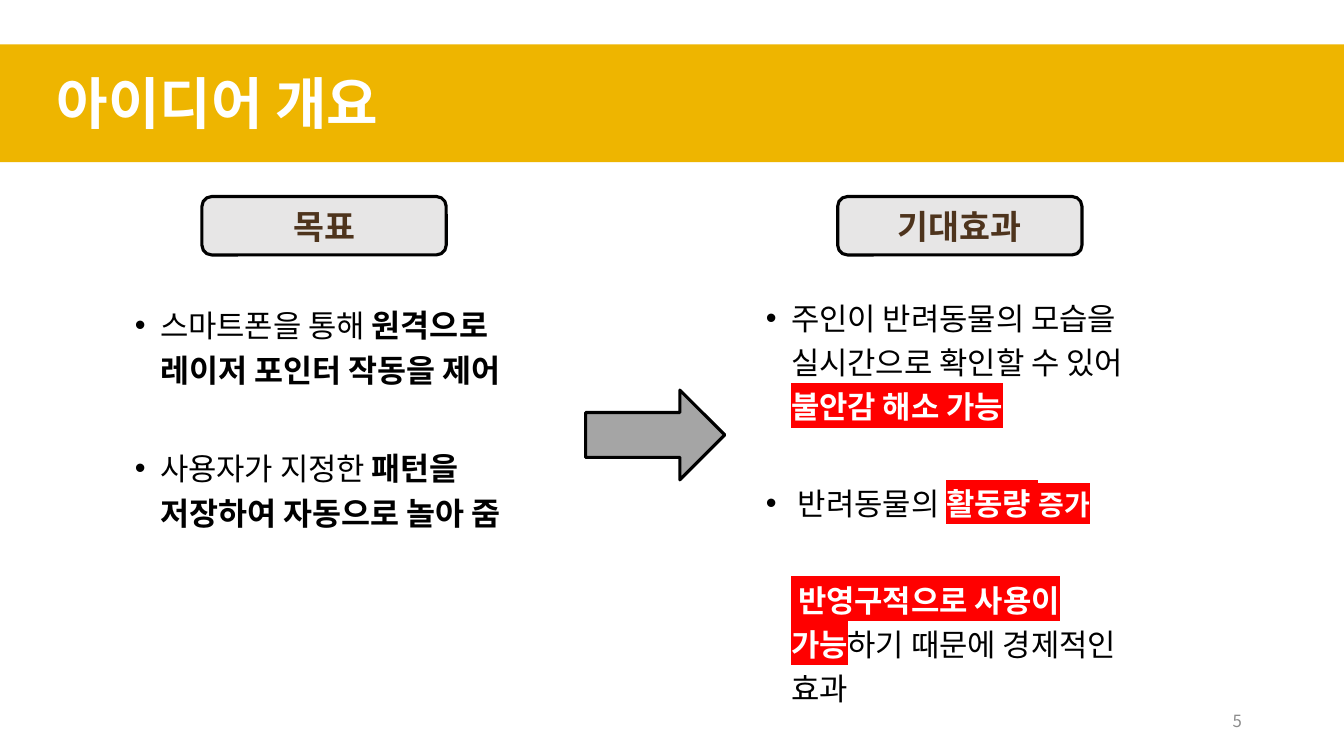
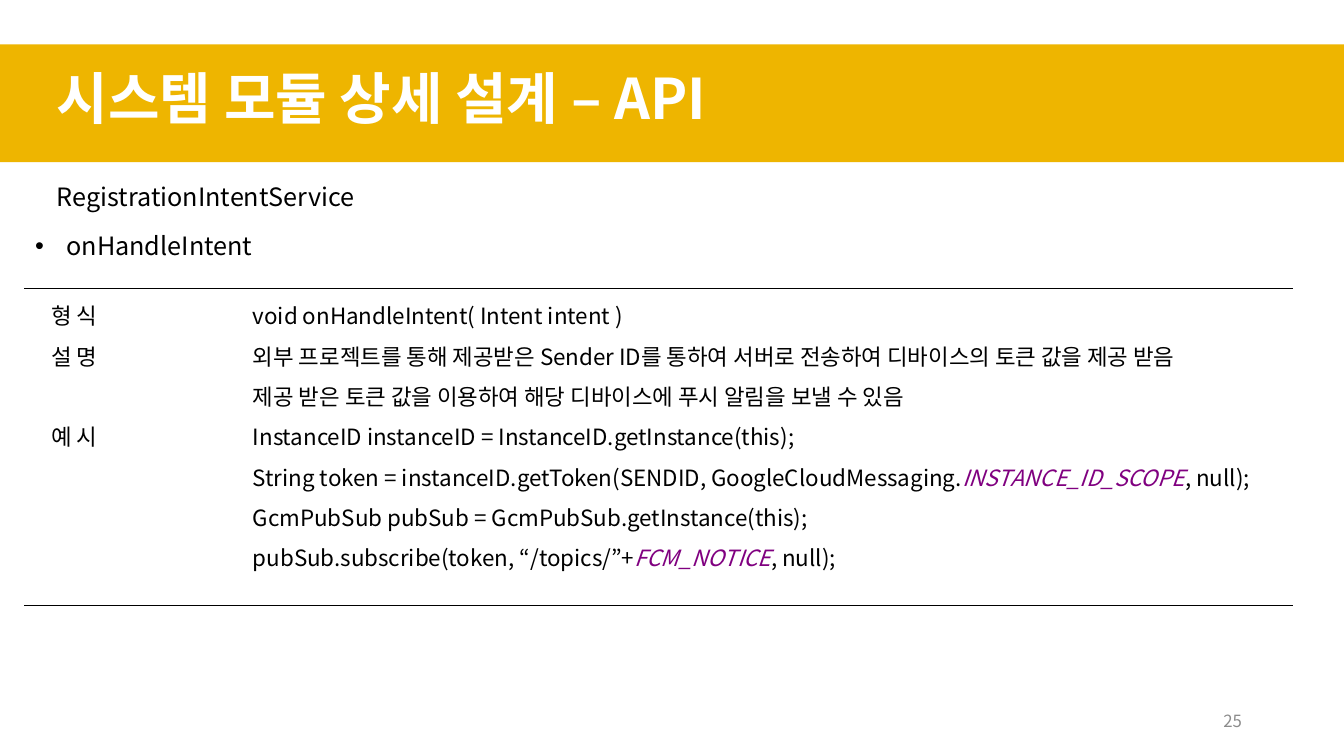
import dataclasses

import pptx
import pptx.dml.color
import pptx.enum.shapes
import pptx.enum.text
import pptx.oxml.ns
import pptx.util
from lxml import etree

Inches, Pt = pptx.util.Inches, pptx.util.Pt
Shapes = pptx.enum.shapes.MSO_SHAPE
Align = pptx.enum.text.PP_ALIGN
Anchor = pptx.enum.text.MSO_ANCHOR
qn = pptx.oxml.ns.qn

FONT = "Noto Sans CJK KR"
COLORS = {
    "band": "EEB500",
    "white": "FFFFFF",
    "black": "000000",
    "label": "E7E6E6",
    "brown": "4E341D",
    "arrow": "A5A5A5",
    "red": "FF0000",
    "purple": "800080",
    "gray": "8C8C8C",
}


@dataclasses.dataclass
class Box:
    left: float
    top: float
    width: float
    height: float

    def share(self, left, top, width, height):
        """Return an inner box given in percent of this one."""
        return Box(
            self.left + self.width * left / 100,
            self.top + self.height * top / 100,
            self.width * width / 100,
            self.height * height / 100,
        )

    def inches(self):
        return [Inches(n) for n in (self.left, self.top, self.width, self.height)]


@dataclasses.dataclass
class Span:
    text: str
    color: str = ""
    bold: bool = False
    italic: bool = False
    size: float = 0
    highlight: str = ""


SLIDE = Box(0, 0, 13.33, 7.5)


def rgb(name):
    return pptx.dml.color.RGBColor.from_string(COLORS[name])


def add_shape(page, kind, box, fill, line=None):
    shape = page.shapes.add_shape(kind, *box.inches())
    shape.shadow.inherit = False
    shape.fill.solid()
    shape.fill.fore_color.rgb = rgb(fill)
    if line:
        shape.line.color.rgb = rgb(line)
        shape.line.width = Pt(2.25)
    else:
        shape.line.fill.background()
    return shape


def add_span(para, span):
    run = para.add_run()
    run.text = span.text
    if span.bold:
        run.font.bold = True
    if span.italic:
        run.font.italic = True
    if span.size:
        run.font.size = Pt(span.size)
    if span.color:
        run.font.color.rgb = rgb(span.color)
    if span.highlight:
        mark = etree.SubElement(run._r.get_or_add_rPr(), qn("a:highlight"))
        etree.SubElement(mark, qn("a:srgbClr"), val=COLORS[span.highlight])


def add_bullet(para, indent):
    props = para._p.get_or_add_pPr()
    props.set("marL", str(Inches(indent)))
    props.set("indent", str(-Inches(indent)))
    etree.SubElement(props, qn("a:buFont"), typeface="Arial")
    etree.SubElement(props, qn("a:buChar"), char="•")


def add_tab(para, position):
    tabs = etree.SubElement(para._p.get_or_add_pPr(), qn("a:tabLst"))
    etree.SubElement(tabs, qn("a:tab"), pos=str(Inches(position)), algn="l")


def write(frame, paragraphs, size, color="black", bold=False, align=Align.LEFT,
          anchor=Anchor.TOP, spacing=1, gap=0, bullet=0, tab=0):
    """Fill a text frame; each paragraph is a string or a list of spans."""
    frame.word_wrap = True
    frame.vertical_anchor = anchor
    for index, spans in enumerate(paragraphs):
        para = frame.add_paragraph() if index else frame.paragraphs[0]
        para.alignment = align
        para.line_spacing = spacing
        para.space_before = Pt(gap if index else 0)
        if bullet:
            add_bullet(para, bullet)
        if tab:
            add_tab(para, tab)
        para.font.size = Pt(size)
        para.font.bold = bold
        para.font.color.rgb = rgb(color)
        para.font.name = FONT
        defaults = para._p.pPr.find(qn("a:defRPr"))
        etree.SubElement(defaults, qn("a:ea"), typeface=FONT)
        for span in [Span(spans)] if isinstance(spans, str) else spans:
            add_span(para, span)


def add_text(page, box, paragraphs, size, **style):
    write(page.shapes.add_textbox(*box.inches()).text_frame, paragraphs, size, **style)


def add_rule(page, left, right, height):
    ends = [Inches(n) for n in (left, height, right, height)]
    rule = page.shapes.add_connector(pptx.enum.shapes.MSO_CONNECTOR.STRAIGHT, *ends)
    rule.line.color.rgb = rgb("black")
    rule.line.width = Pt(1)
    etree.SubElement(rule._element.spPr, qn("a:effectLst"))


def new_page(deck, title, title_top, number):
    """Add a blank slide with the band, its title and the page number."""
    page = deck.slides.add_slide(deck.slide_layouts[6])
    add_shape(page, Shapes.RECTANGLE, SLIDE.share(0, 5.87, 100, 15.6), "band")
    add_text(page, SLIDE.share(3.5, title_top, 96.5, 10.27), [title], 40,
             color="white", bold=True)
    add_text(page, SLIDE.share(70.65, 92.67, 22.5, 5.33), [str(number)], 12,
             color="gray", align=Align.RIGHT, anchor=Anchor.MIDDLE)
    return page


def add_column(page, box, label, label_left, list_top, points):
    """Place a rounded label above a bulleted list."""
    shape = add_shape(page, Shapes.ROUNDED_RECTANGLE,
                      box.share(label_left, 0, 56.8, 11.15), "label", "black")
    write(shape.text_frame, [label], 24, color="brown", bold=True,
          align=Align.CENTER, anchor=Anchor.MIDDLE)
    add_text(page, box.share(0, list_top, 100, 100 - list_top), points, 22,
             spacing=1.2, gap=37.3, bullet=0.25)


def add_details(page, box, rows):
    """Place tabbed rows between two rules."""
    for height in (box.top, box.top + box.height):
        add_rule(page, box.left, box.left + box.width, height)
    add_text(page, box.share(1.35, -1.27, 98.33, 93), rows, 16, spacing=1.5, tab=2)


def strong(text):
    return Span(text, bold=True, size=22.5)


def marked(text, size=0):
    return Span(text, color="white", bold=True, size=size, highlight="red")


def constant(text):
    return Span(text, color="purple", italic=True)


def build_overview(deck):
    page = new_page(deck, "아이디어 개요", 8.4, 5)
    add_column(page, SLIDE.share(9.3, 26, 32, 69.3), "목표", 17.9, 18.46, [
        [Span("스마트폰을 통해 "), strong("원격으로 레이저 포인터 작동을 제어")],
        [Span("사용자가 지정한 "), strong("패턴을 저장하여 자동으로 놀아 줌")],
    ])
    add_column(page, SLIDE.share(56.25, 26, 32, 69.3), "기대효과", 19, 17.3, [
        [Span("주인이 반려동물의 모습을 실시간으로 확인할 수 있어 "),
         marked("불안감 해소 가능")],
        [Span(" 반려동물의 "), marked("활동량 "), marked("증가", 20)],
        [marked(" 반영구적으로 사용이 가능"), Span("하기 때문에 경제적인 효과")],
    ])
    add_shape(page, Shapes.RIGHT_ARROW, SLIDE.share(43.58, 51.6, 10.35, 11.87),
              "arrow", "black")


def build_api(deck):
    page = new_page(deck, "시스템 모듈 상세 설계 – API", 7.73, 25)
    add_text(page, SLIDE.share(3.5, 23.33, 30.25, 5.33), ["RegistrationIntentService"], 18)
    add_text(page, SLIDE.share(1.88, 29.87, 94.37, 5.33), ["onHandleIntent"], 18,
             bullet=0.31)
    add_details(page, SLIDE.share(1.8, 38.13, 94.37, 42), [
        "형 식\tvoid onHandleIntent( Intent intent )",
        "설 명\t외부 프로젝트를 통해 제공받은 Sender ID를 통하여 서버로 전송하여 "
        "디바이스의 토큰 값을 제공 받음",
        "\t제공 받은 토큰 값을 이용하여 해당 디바이스에 푸시 알림을 보낼 수 있음",
        "예 시\tInstanceID instanceID = InstanceID.getInstance(this);",
        [Span("\tString token = instanceID.getToken(SENDID, GoogleCloudMessaging."),
         constant("INSTANCE_ID_SCOPE"), Span(", null);")],
        "\tGcmPubSub pubSub = GcmPubSub.getInstance(this);",
        [Span("\tpubSub.subscribe(token, “/topics/”+"), constant("FCM_NOTICE"),
         Span(", null);")],
    ])


def main():
    deck = pptx.Presentation()
    deck.slide_width = Inches(SLIDE.width)
    deck.slide_height = Inches(SLIDE.height)
    build_overview(deck)
    build_api(deck)
    deck.save("out.pptx")


if __name__ == "__main__":
    main()
